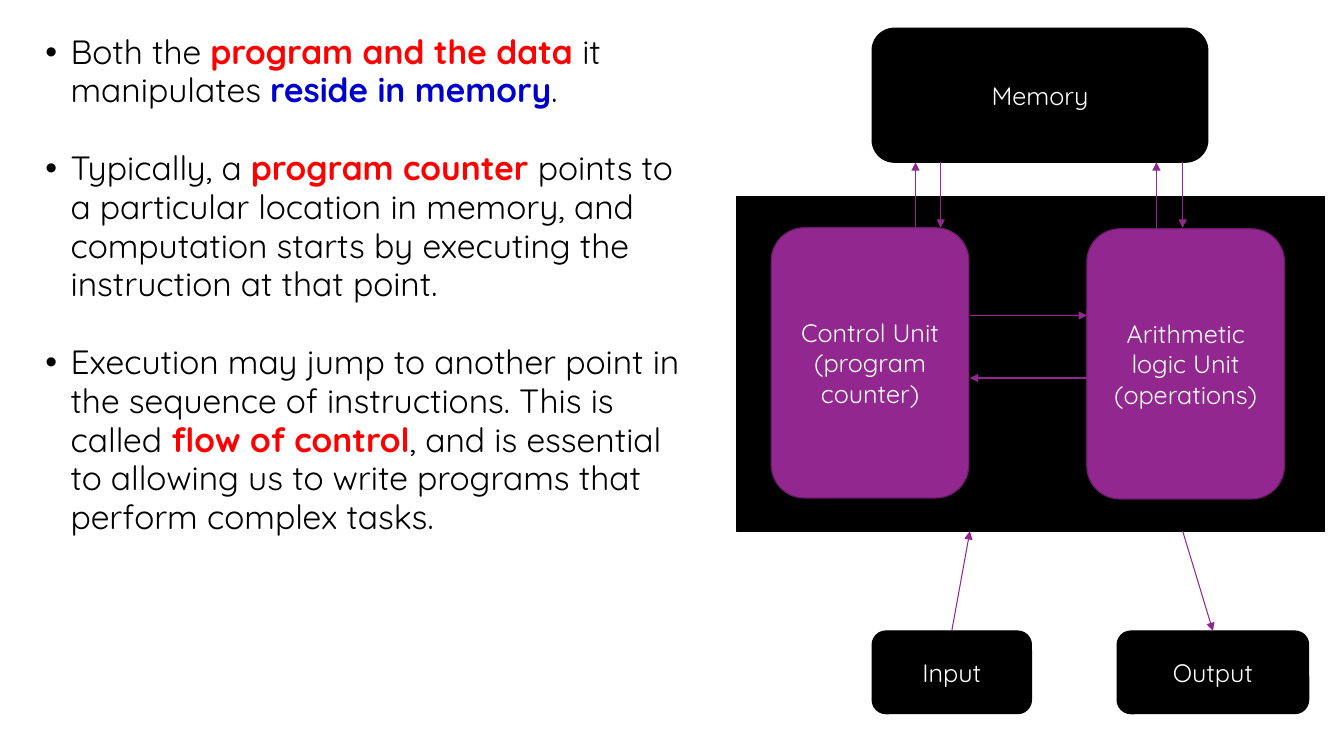
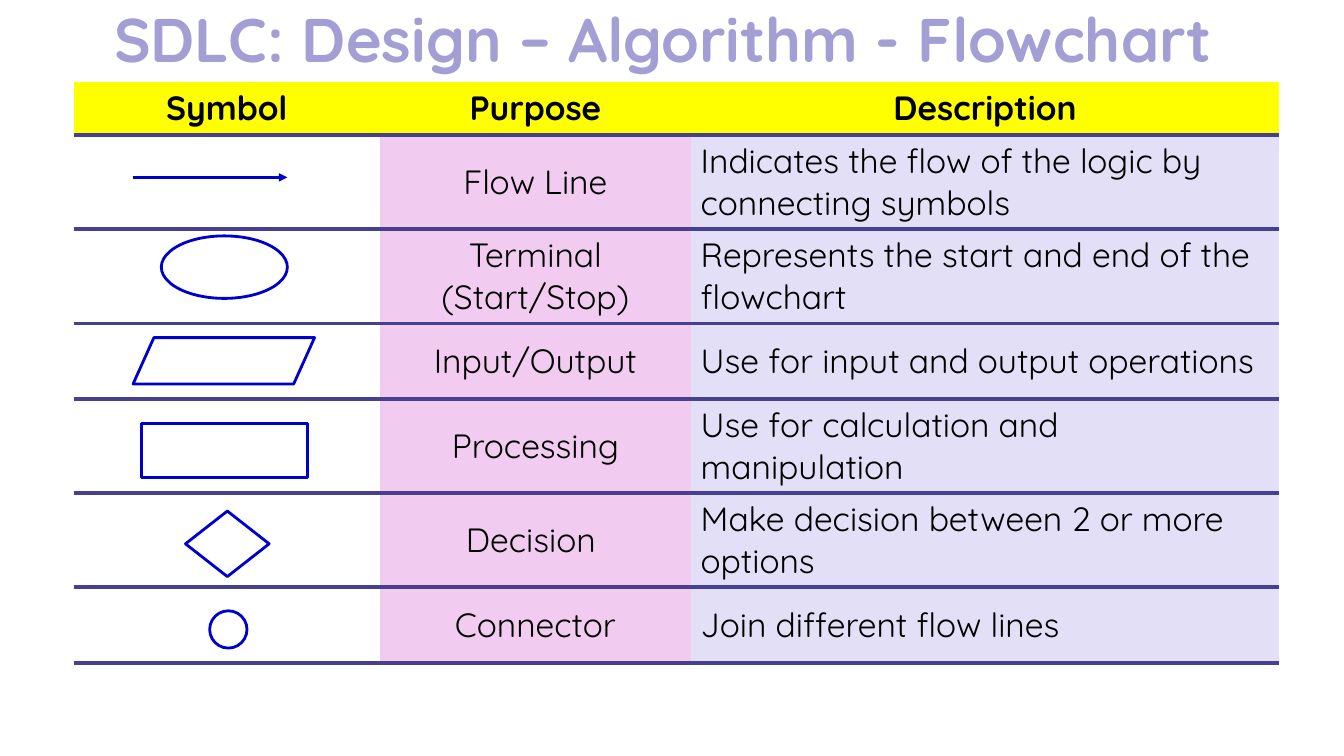
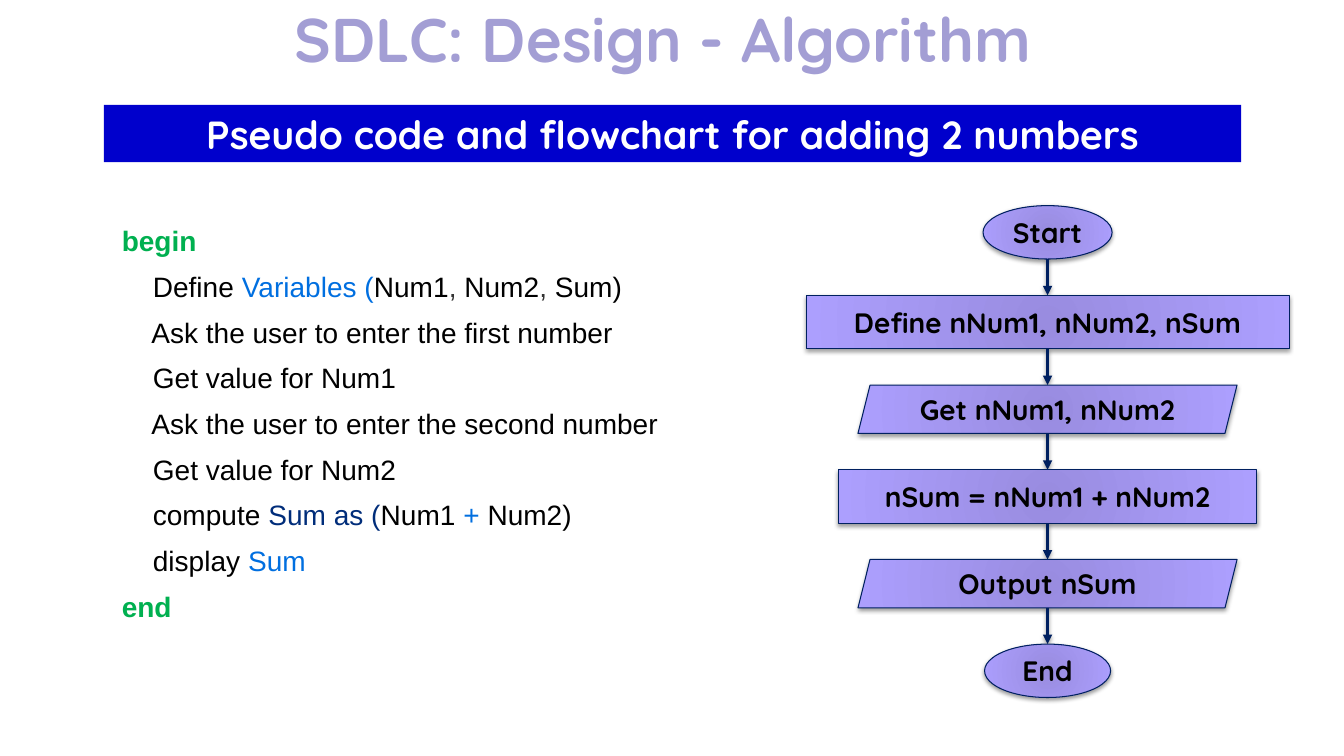
import pptx
import pptx.util
import pptx.oxml
import pptx.oxml.ns
import pptx.dml.color
import pptx.enum.shapes
import pptx.enum.text
import lxml.etree

Inches, Pt = pptx.util.Inches, pptx.util.Pt
KIND = pptx.enum.shapes.MSO_SHAPE
ALIGN = pptx.enum.text.PP_ALIGN
MIDDLE = pptx.enum.text.MSO_ANCHOR.MIDDLE
qn = pptx.oxml.ns.qn

HUES = {
    "black": "000000", "white": "FFFFFF", "red": "FF0000", "blue": "0000CC",
    "green": "00B050", "sky": "006FE0", "deep": "002D7A", "grey": "333333",
    "navy": "002060", "plum": "92278F", "edge": "6C1D6A", "lilac": "A39ED4",
    "rule": "474091", "yellow": "FFFF00", "pink": "F1CCF0", "mist": "E3DFF7",
    "core": "998CE0", "rim": "AC9FFE",
}
STRONG = {"red", "blue", "green"}
FONT = "Quicksand"

POINTS = [
    [("Both the ", "black"), ("program and the data ", "red"), ("it manipulates ", "black"),
     ("reside in memory", "blue"), (".", "black")],
    [("Typically, a ", "black"), ("program counter ", "red"),
     ("points to a particular location in memory, and computation starts by "
      "executing the instruction at that point.", "black")],
    [("Execution may jump to another point in the sequence of instructions. "
      "This is called ", "black"), ("flow of control", "red"),
     (", and is essential to allowing us to write programs that perform complex tasks.", "black")],
]
UNITS = [
    ("Memory", KIND.ROUNDED_RECTANGLE, (8.65, 0.28, 3.33, 1.33), "black", "black"),
    ("", KIND.RECTANGLE, (7.31, 1.95, 5.83, 3.32), "black", "black"),
    ("Input", KIND.ROUNDED_RECTANGLE, (8.65, 6.26, 1.58, 0.82), "black", "black"),
    ("Output", KIND.ROUNDED_RECTANGLE, (11.08, 6.26, 1.9, 0.82), "black", "black"),
    ("Control Unit (program counter)", KIND.ROUNDED_RECTANGLE,
     (7.65, 2.26, 1.96, 2.68), "plum", "edge"),
    ("Arithmetic logic Unit (operations)", KIND.ROUNDED_RECTANGLE,
     (10.78, 2.27, 1.96, 2.68), "plum", "edge"),
]
LINKS = [
    (9.08, 2.26, 9.08, 1.61), (9.33, 1.61, 9.33, 2.26),
    (11.47, 2.26, 11.47, 1.61), (11.73, 1.61, 11.73, 2.26),
    (9.44, 6.26, 9.62, 5.27), (11.73, 5.27, 12.03, 6.26),
    (9.62, 3.13, 10.78, 3.13), (10.78, 3.75, 9.62, 3.75),
]

ROWS = [
    ("Symbol", "Purpose", "Description"),
    ("", "Flow Line", "Indicates the flow of the logic by connecting symbols"),
    ("", "Terminal (Start/Stop)", "Represents the start and end of the flowchart"),
    ("", "Input/Output", "Use for input and output operations"),
    ("", "Processing", "Use for calculation and manipulation"),
    ("", "Decision ", "Make decision between 2 or more options"),
    ("", "Connector", "Join different flow lines"),
]
COLS = [3.04, 3.08, 5.84]
SIGNS = [
    (KIND.OVAL, (1.6, 2.34, 1.25, 0.62)),
    (KIND.PARALLELOGRAM, (1.32, 3.35, 1.8, 0.46)),
    (KIND.RECTANGLE, (1.4, 4.2, 1.65, 0.54)),
    (KIND.FLOWCHART_DECISION, (1.84, 5.07, 0.83, 0.65)),
    (KIND.OVAL, (2.08, 6.06, 0.37, 0.37)),
]

CODE = [
    [("begin", "green")],
    [("    Define", "black"), (" Variables (", "sky"), ("Num1", "black"), (", ", "grey"),
     ("Num2", "black"), (", ", "grey"), ("Sum)", "black")],
    [("    Ask the user to enter the first number", "black")],
    [("    Get value for Num1", "black")],
    [("    Ask the user to enter the second number", "black")],
    [("    Get value for Num2", "black")],
    [("    compute ", "black"), ("Sum as (", "deep"), ("Num1 ", "black"), ("+ ", "sky"),
     ("Num2)", "black")],
    [("    display", "black"), (" Sum", "sky")],
    [("end", "green")],
]
STEPS = [
    ("Start", KIND.OVAL, 1.28, 0.53),
    ("Define nNum1, nNum2, nSum", KIND.RECTANGLE, 4.79, 0.53),
    ("Get nNum1, nNum2", KIND.PARALLELOGRAM, 3.76, 0.48),
    ("nSum = nNum1 + nNum2", KIND.RECTANGLE, 4.14, 0.53),
    ("Output nSum", KIND.PARALLELOGRAM, 3.76, 0.48),
    ("End", KIND.OVAL, 1.25, 0.53),
]
AXIS, TOP, GAP = 10.39, 2.04, 0.36


def rgb(hue):
    return pptx.dml.color.RGBColor.from_string(HUES[hue])


def xml(text):
    return pptx.oxml.parse_xml(text.replace(">", " " + pptx.oxml.ns.nsdecls("a") + ">", 1))


def style(run, size, hue, bold=False, face=FONT):
    font = run.font
    font.size, font.bold, font.name = Pt(size), bold, face
    font.color.rgb = rgb(hue)


def label(frame, text, size, hue, bold=False, align=ALIGN.CENTER):
    frame.text = text
    para = frame.paragraphs[0]
    para.alignment = align
    for run in para.runs:
        style(run, size, hue, bold)


def write(frame, items, size, face, pitch, before, after=0):
    for i, parts in enumerate(items):
        para = frame.paragraphs[0] if i == 0 else frame.add_paragraph()
        para.line_spacing = pitch
        para.space_before = Pt(before if i else 0)
        para.space_after = Pt(after)
        for text, hue in parts:
            run = para.add_run()
            run.text = text
            style(run, size, hue, hue in STRONG, face)


def place(shape, box):
    shape.left, shape.top, shape.width, shape.height = map(Inches, box)


def head(slide, text):
    title = slide.shapes.title
    place(title, (0, 0, 13.33, 0.84))
    frame = title.text_frame
    frame.vertical_anchor = MIDDLE
    label(frame, text, 44, "lilac", True)
    frame.paragraphs[0].line_spacing = 0.9


def draw(slide, kind, box, fill=None, line=None, width=0.85):
    shape = slide.shapes.add_shape(kind, *map(Inches, box))
    shape.shadow.inherit = False
    if fill:
        shape.fill.solid()
        shape.fill.fore_color.rgb = rgb(fill)
    else:
        shape.fill.background()
    if line:
        shape.line.color.rgb = rgb(line)
        shape.line.width = Pt(width)
    else:
        shape.line.fill.background()
    return shape


def arrow(slide, ends, hue, width):
    line = slide.shapes.add_connector(
        pptx.enum.shapes.MSO_CONNECTOR.STRAIGHT, *map(Inches, ends))
    line.line.color.rgb = rgb(hue)
    line.line.width = Pt(width)
    props = line.element.spPr
    lxml.etree.SubElement(props.find(qn("a:ln")), qn("a:tailEnd"), type="triangle")
    lxml.etree.SubElement(props, qn("a:effectLst"))
    return line


def shade(shape):
    shape.element.spPr.find(qn("a:effectLst")).append(xml(
        '<a:outerShdw blurRad="39370" dist="20320" dir="5400000" rotWithShape="0">'
        '<a:srgbClr val="000000"><a:alpha val="38000"/></a:srgbClr></a:outerShdw>'))


def glow(shape):
    props = shape.element.spPr
    props.replace(props.find(qn("a:noFill")), xml(
        '<a:gradFill rotWithShape="1"><a:gsLst>'
        f'<a:gs pos="0"><a:srgbClr val="{HUES["core"]}"/></a:gs>'
        f'<a:gs pos="100000"><a:srgbClr val="{HUES["rim"]}"/></a:gs></a:gsLst>'
        '<a:path path="circle"><a:fillToRect l="100000" t="100000" r="100000" b="100000"/>'
        '</a:path></a:gradFill>'))


def machine(deck):
    slide = deck.slides.add_slide(deck.slide_layouts[1])
    title = slide.shapes.title.element
    title.getparent().remove(title)
    body = slide.placeholders[1]
    place(body, (0.35, 0.28, 6.61, 7.09))
    frame = body.text_frame
    frame.auto_size = pptx.enum.text.MSO_AUTO_SIZE.NONE
    for i in range(len(POINTS)):
        para = frame.paragraphs[0]
    write(frame, POINTS, 24, FONT, 0.96, 10, 18)
    for para in frame.paragraphs:
        props = para._p.get_or_add_pPr()
        props.set("marL", str(Inches(0.25)))
        props.set("indent", str(Inches(-0.25)))
        lxml.etree.SubElement(props, qn("a:buChar"), char="•")
    for text, kind, box, fill, line in UNITS:
        shape = draw(slide, kind, box, fill, line)
        if text:
            label(shape.text_frame, text, 18, "white")
    for ends in LINKS:
        arrow(slide, ends, "plum", 0.75)


def symbols(deck):
    slide = deck.slides.add_slide(deck.slide_layouts[5])
    head(slide, "SDLC: Design – Algorithm - Flowchart ")
    frame = slide.shapes.add_table(
        len(ROWS), len(COLS), *map(Inches, (0.73, 0.81, sum(COLS), 5.03)))
    table = frame.table
    table.first_row = table.horz_banding = False
    table._tbl.tblPr.find(qn("a:tableStyleId")).text = "{2D5ABB26-0587-4C30-8999-92F81FD0307C}"
    for col, width in zip(table.columns, COLS):
        col.width = Inches(width)
    for r, texts in enumerate(ROWS):
        table.rows[r].height = Inches(0.75 if r else 0.53)
        fills = (None, "pink", "mist") if r else ("yellow",) * 3
        for c, (text, fill) in enumerate(zip(texts, fills)):
            cell = table.cell(r, c)
            cell.vertical_anchor = MIDDLE
            if fill:
                cell.fill.solid()
                cell.fill.fore_color.rgb = rgb(fill)
            else:
                cell.fill.background()
            if text:
                align = ALIGN.LEFT if r and c == 2 else ALIGN.CENTER
                label(cell.text_frame, text, 24, "black", r == 0, align)
            cell._tc.get_or_add_tcPr().insert(0, xml(
                f'<a:lnB w="{Pt(3)}"><a:solidFill><a:srgbClr val="{HUES["rule"]}"/>'
                '</a:solidFill></a:lnB>'))
    arrow(slide, (1.32, 1.76, 2.85, 1.76), "blue", 2)
    for kind, box in SIGNS:
        shape = draw(slide, kind, box, None, "blue", 2)
        if kind == KIND.PARALLELOGRAM:
            shape.adjustments[0] = 0.45


def adding(deck):
    slide = deck.slides.add_slide(deck.slide_layouts[5])
    head(slide, "SDLC: Design - Algorithm ")
    band = draw(slide, KIND.RECTANGLE, (1.03, 1.04, 11.28, 0.57), "blue")
    label(band.text_frame, "Pseudo code and flowchart for adding 2 numbers", 28, "white", True)
    code = slide.shapes.add_textbox(*map(Inches, (1.11, 2.21, 6.24, 3.95)))
    code.text_frame.word_wrap = True
    write(code.text_frame, CODE, 20, "Arial", 0.9, 11)
    top = TOP
    for i, (text, kind, width, height) in enumerate(STEPS):
        if i:
            shade(arrow(slide, (AXIS, top - GAP, AXIS, top), "navy", 2.25))
        shape = draw(slide, kind, (AXIS - width / 2, top, width, height), None, "navy", 0.75)
        glow(shape)
        shade(shape)
        label(shape.text_frame, text, 20, "black", True)
        top += height + GAP


def main():
    deck = pptx.Presentation()
    deck.slide_width, deck.slide_height = Inches(13.33), Inches(7.5)
    machine(deck)
    symbols(deck)
    adding(deck)
    deck.save("out.pptx")


if __name__ == "__main__":
    main()
